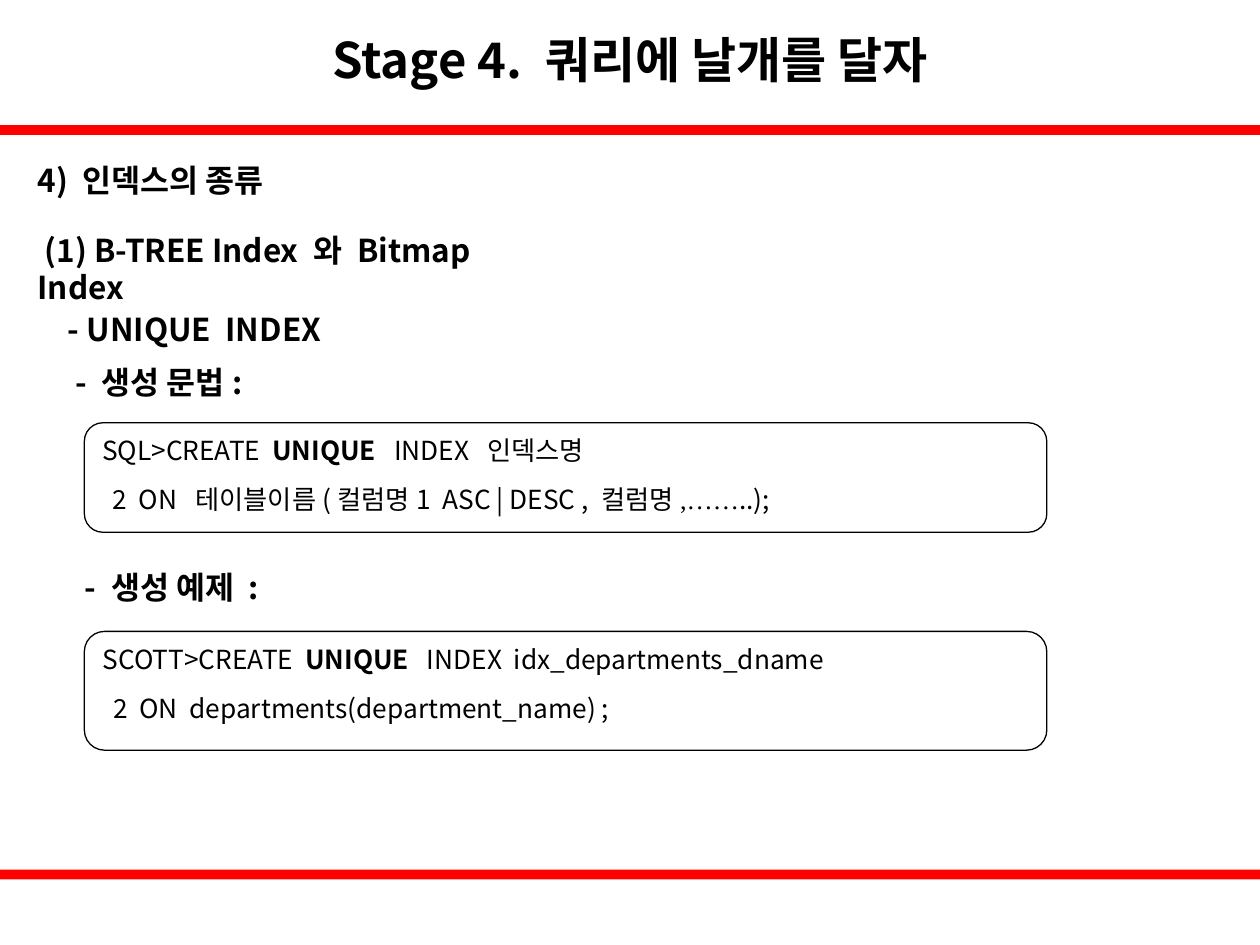
from lxml import etree
from pptx import Presentation
from pptx.dml.color import RGBColor
from pptx.enum import shapes, text
from pptx.oxml.ns import qn
from pptx.util import Pt

COLORS = {"ink": "000000", "paper": "FFFFFF", "band": "FF0000"}
SANS, SERIF = "Noto Sans CJK KR", "Times New Roman"


def write(paragraph, wording, size=18, bold=True, font=SANS, align=None, after=0, indent=0):
    """Append one run; indent moves the first line only."""
    run = paragraph.add_run()
    run.text = wording
    run.font.size, run.font.bold, run.font.name = Pt(size), bold, font
    run.font.color.rgb = RGBColor.from_string(COLORS["ink"])
    etree.SubElement(run.font._element, qn("a:ea")).set("typeface", font)
    paragraph.alignment = align
    paragraph.space_after = Pt(after)
    if indent:
        paragraph._p.get_or_add_pPr().set("indent", str(Pt(indent)))


deck = Presentation()
deck.slide_width, deck.slide_height = Pt(720), Pt(540)
slide = deck.slides.add_slide(deck.slide_layouts[6])

# Red bands under the title and above the footer
for top in (71.5, 497):
    band = slide.shapes.add_shape(shapes.MSO_SHAPE.RECTANGLE, 0, Pt(top), Pt(720), Pt(5.6))
    band.shadow.inherit = False
    band.fill.solid()
    band.fill.fore_color.rgb = RGBColor.from_string(COLORS["band"])
    band.line.fill.background()

title = slide.shapes.add_textbox(Pt(54), Pt(-24.5), Pt(612), Pt(116)).text_frame
title.word_wrap = True
title.vertical_anchor = text.MSO_ANCHOR.MIDDLE
write(title.paragraphs[0], "Stage 4. 쿼리에 날개를 달자", size=28, align=text.PP_ALIGN.CENTER)

# Headings: left, top, width, first-line indent, wording
headings = [
    (14.4, 88.6, 153.4, 0, "4) 인덱스의 종류"),
    (14.4, 128.2, 314, 4, "(1) B-TREE Index 와 Bitmap Index"),
    (31.7, 173.5, 167.8, 0, "- UNIQUE  INDEX"),
    (36, 203.8, 112.3, 0, "- 생성 문법:"),
    (37.4, 321.1, 125.3, 4, "- 생성 예제 :"),
]
for left, top, width, indent, wording in headings:
    heading = slide.shapes.add_textbox(Pt(left), Pt(top), Pt(width), Pt(28.8)).text_frame
    heading.word_wrap = "Bitmap" in wording
    write(heading.paragraphs[0], wording, indent=indent)

# SQL boxes: top, height, lines made of (wording, format) runs
strong, serif = {"bold": True}, {"font": SERIF}
statements = [
    (241.6, 62.6, [
        [("SQL>CREATE  ", {}), ("UNIQUE  ", strong), (" INDEX  인덱스명", {})],
        [("2  ON  테이블이름(컬럼명1  ASC | DESC , 컬럼명", {}), (",……", serif), ("..);", {})],
    ]),
    (360.8, 67.9, [
        [("SCOTT>CREATE  ", {}), ("UNIQUE  ", strong), (" INDEX  idx_departments_dname", {})],
        [("2  ON  departments(department_name) ;", {})],
    ]),
]
for top, height, lines in statements:
    box = slide.shapes.add_shape(
        shapes.MSO_SHAPE.ROUNDED_RECTANGLE, Pt(48.2), Pt(top), Pt(550), Pt(height))
    box.adjustments[0] = 0.17
    box.shadow.inherit = False
    box.fill.solid()
    box.fill.fore_color.rgb = RGBColor.from_string(COLORS["paper"])
    box.line.color.rgb = RGBColor.from_string(COLORS["ink"])
    box.line.width = Pt(0.75)
    sql = box.text_frame
    sql.word_wrap = True
    sql.vertical_anchor = text.MSO_ANCHOR.TOP
    for number, runs in enumerate(lines):
        line = sql.add_paragraph() if number else sql.paragraphs[0]
        for wording, style in runs:
            write(line, wording, **{"size": 15, "bold": False, "after": 10, "indent": 6 * number,
                                    "align": text.PP_ALIGN.JUSTIFY, **style})

deck.save("out.pptx")
